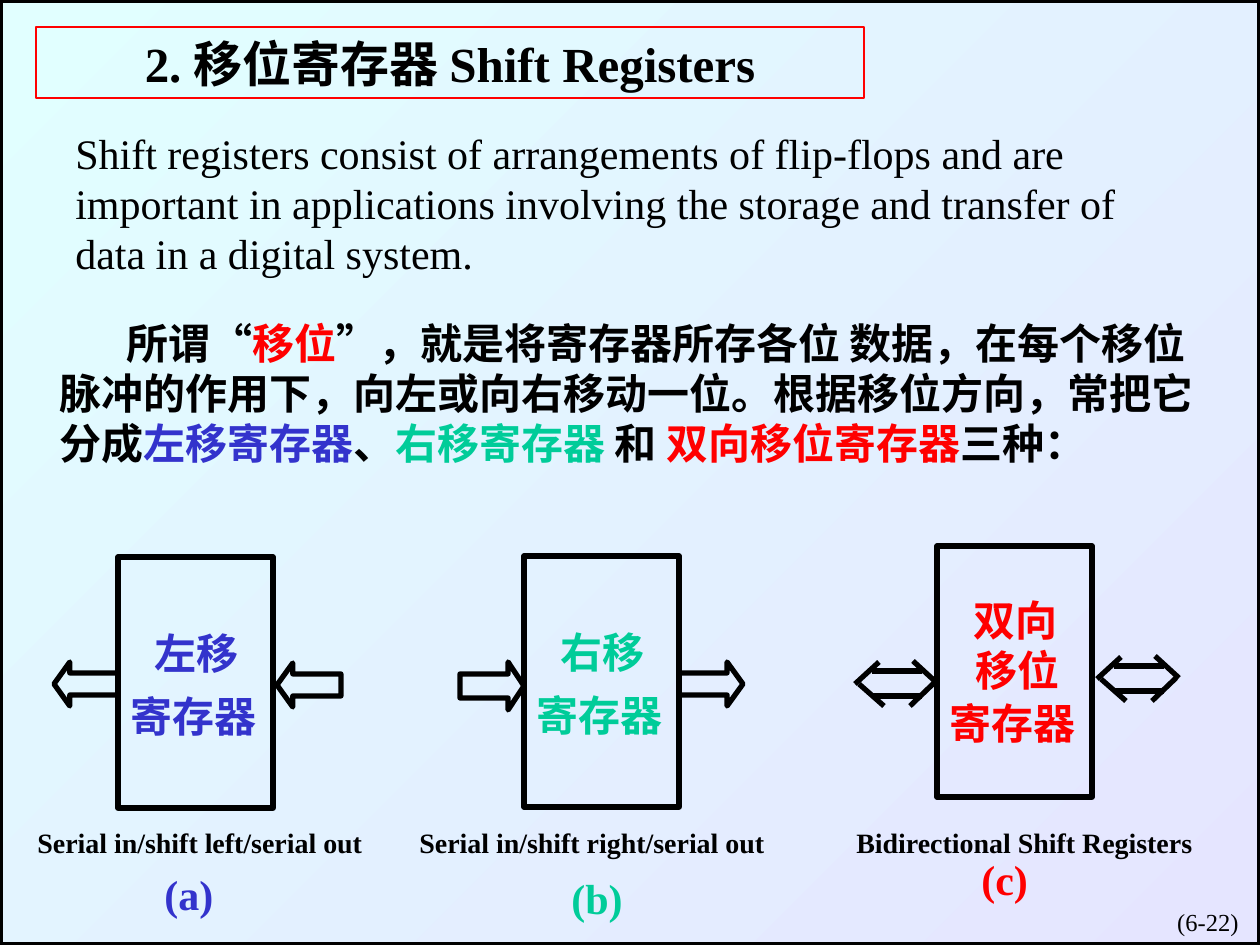
import pptx
import pptx.util
import pptx.dml.color
import pptx.enum.shapes
import pptx.enum.text
import lxml.etree
from typing import NamedTuple

PX = 914400 / 126
FACE = "Times New Roman"
HUES = {
    "ink": "000000", "red": "FF0000", "blue": "3333CC", "green": "00CC99",
    "sky": "E1FFFF", "lilac": "E5E5FF",
}
KIND = pptx.enum.shapes.MSO_SHAPE
ALIGN = pptx.enum.text.PP_ALIGN
PLAIN = {"size": pptx.util.Pt(24), "name": FACE, "bold": False}
BOLD = PLAIN | {"bold": True}
HEAD = BOLD | {"size": pptx.util.Pt(28)}
SMALL = BOLD | {"size": pptx.util.Pt(16)}
PAGE = PLAIN | {"size": pptx.util.Pt(14)}


class Box(NamedTuple):
    x: int
    y: int
    w: int
    h: int


class Label(NamedTuple):
    """Text placed relative to its register's frame."""
    text: str
    x: int
    y: int
    w: int


class Arrow(NamedTuple):
    kind: KIND
    box: Box
    tip: float


class Panel(NamedTuple):
    x: int
    y: int
    hue: str
    labels: list[Label]
    mark: Label
    note: str
    spot: Box
    arrows: list[Arrow]


Run = tuple[str, str]

SIDE = [(24, 64, 131), (0, 127, 161)]
PANELS = [
    Panel(118, 557, "blue",
          [Label(t, *s) for t, s in zip(["左移", "寄存器"], SIDE)],
          Label("(a)", 34, 305, 100),
          "Serial in/shift left/serial out", Box(25, 819, 357, 47),
          [Arrow(KIND.LEFT_ARROW, Box(277, 663, 64, 44), 0.36),
           Arrow(KIND.LEFT_ARROW, Box(54, 662, 64, 44), 0.36)]),
    Panel(524, 556, "green",
          [Label(t, *s) for t, s in zip(["右移", "寄存器"], SIDE)],
          Label("(b)", 35, 310, 100),
          "Serial in/shift right/serial out", Box(407, 819, 376, 47),
          [Arrow(KIND.RIGHT_ARROW, Box(679, 662, 64, 44), 0.36),
           Arrow(KIND.RIGHT_ARROW, Box(460, 662, 64, 48), 0.33)]),
    Panel(937, 546, "red",
          [Label("双向", 24, 42, 131), Label("移位", 26, 92, 124),
           Label("寄存器", 0, 145, 161)],
          Label("(c)", 32, 301, 100),
          "Bidirectional Shift Registers", Box(844, 819, 367, 47), []),
]
# Strokes of a hand-drawn two-way arrow: x1, y1, x2, y2
STROKES = [
    (17, 10, 67, 10), (17, 35, 67, 35), (58, 0, 82, 22),
    (4, 23, 29, 45), (24, 1, 0, 23), (79, 22, 55, 45),
]
TWO_WAY = [(1097, 656), (855, 661)]


def emu(px: int) -> pptx.util.Emu:
    return pptx.util.Emu(round(px * PX))


def tint(name: str) -> pptx.dml.color.RGBColor:
    return pptx.dml.color.RGBColor.from_string(HUES[name])


def pen(line, hue: str, width: float) -> None:
    line.color.rgb = tint(hue)
    line.width = pptx.util.Pt(width)


def write(frame, runs: list[Run], style: dict, align=ALIGN.LEFT):
    """Fill the first paragraph with coloured runs and return it."""
    frame.word_wrap = True
    para = frame.paragraphs[0]
    para.alignment = align
    for text, hue in runs:
        run = para.add_run()
        run.text = text
        run.font.color.rgb = tint(hue)
        for key, value in style.items():
            setattr(run.font, key, value)
    return para


def put(slide, box: Box, runs: list[Run], style: dict, align=ALIGN.LEFT):
    area = slide.shapes.add_textbox(*map(emu, box))
    return write(area.text_frame, runs, style, align)


def shape(slide, kind: KIND, box: Box):
    item = slide.shapes.add_shape(kind, *map(emu, box))
    item.shadow.inherit = False
    item.fill.background()
    pen(item.line, "ink", 3)
    return item


def stroke(slide, x1: int, y1: int, x2: int, y2: int) -> None:
    line = slide.shapes.add_connector(
        pptx.enum.shapes.MSO_CONNECTOR.STRAIGHT, *map(emu, (x1, y1, x2, y2)))
    pen(line.line, "ink", 3)
    lxml.etree.SubElement(line._element.spPr, pptx.oxml.ns.qn("a:effectLst"))


def panel(slide, item: Panel) -> None:
    for arrow in item.arrows:
        body = shape(slide, arrow.kind, arrow.box)
        body.adjustments[0] = 0.5
        body.adjustments[1] = arrow.tip
    shape(slide, KIND.RECTANGLE, Box(item.x, item.y, 155, 251))
    for label in [*item.labels, item.mark]:
        box = Box(item.x + label.x, item.y + label.y, label.w, 63)
        put(slide, box, [(label.text, item.hue)], BOLD)
    put(slide, item.spot, [(item.note, "ink")], SMALL)


def backdrop(slide) -> None:
    fill = slide.background.fill
    fill.gradient()
    fill.gradient_angle = 315
    for stop, hue in zip(fill.gradient_stops, ["sky", "lilac"]):
        stop.color.rgb = tint(hue)
    shape(slide, KIND.RECTANGLE, Box(0, 0, 1260, 945))


def title(slide) -> None:
    head = slide.shapes.title
    head.left, head.top, head.width, head.height = map(emu, (36, 27, 828, 71))
    pen(head.line, "red", 1.5)
    frame = head.text_frame
    frame.auto_size = pptx.enum.text.MSO_AUTO_SIZE.NONE
    frame.vertical_anchor = pptx.enum.text.MSO_ANCHOR.MIDDLE
    write(frame, [("2. 移位寄存器 Shift Registers", "ink")], HEAD, ALIGN.CENTER)


def main() -> None:
    deck = pptx.Presentation()
    deck.slide_width, deck.slide_height = emu(1260), emu(945)
    slide = deck.slides.add_slide(deck.slide_layouts[5])
    backdrop(slide)
    title(slide)
    put(slide, Box(63, 121, 1119, 165), [(
        "Shift registers consist of arrangements of flip-flops and are "
        "important in applications involving the storage and transfer of "
        "data in a digital system.", "ink")], PLAIN)
    para = put(slide, Box(47, 311, 1163, 165), [
        ("所谓“", "ink"), ("移位", "red"),
        ("”，就是将寄存器所存各位 数据，在每个移位脉冲的作用下，"
         "向左或向右移动一位。根据移位方向，常把它分成", "ink"),
        ("左移寄存器", "blue"), ("、", "ink"), ("右移寄存器 ", "green"),
        ("和 ", "ink"), ("双向移位寄存器", "red"), ("三种：", "ink")], BOLD)
    para._p.get_or_add_pPr().set("indent", str(emu(67)))
    for item in PANELS:
        panel(slide, item)
    for x, y in TWO_WAY:
        for x1, y1, x2, y2 in STROKES:
            stroke(slide, x + x1, y + y1, x + x2, y + y2)
    put(slide, Box(989, 901, 262, 40), [("(6-22)", "ink")], PAGE, ALIGN.RIGHT)
    deck.save("out.pptx")


if __name__ == "__main__":
    main()
